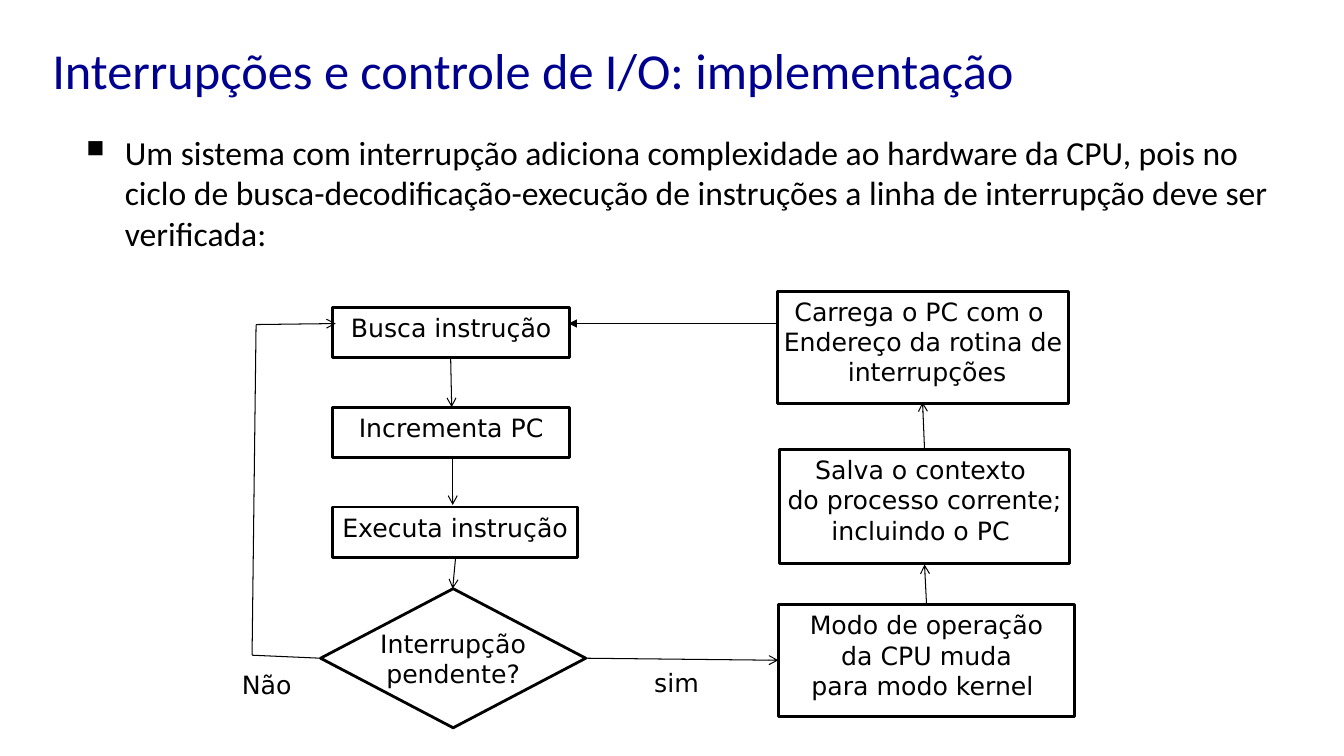
from lxml.etree import SubElement
from pptx import Presentation
from pptx.dml.color import RGBColor
from pptx.enum.shapes import MSO_CONNECTOR, MSO_SHAPE
from pptx.enum.text import MSO_ANCHOR, PP_ALIGN
from pptx.oxml.ns import qn
from pptx.util import Inches, Pt


def hue(code):
    return RGBColor.from_string(code)


def apply(target, values):
    for name, value in values.items():
        setattr(target, name, value)


class Chart:
    """Style and current slide; lengths are cells of a 0.1 inch grid."""
    cell = 0.1
    ink, paper, navy = "000000", "FFFFFF", "000090"
    label = {"size": Pt(18), "name": "DejaVu Sans"}
    head = {"size": Pt(36), "name": "Calibri"}
    body = {"size": Pt(24), "name": "Calibri"}

    def __init__(self, deck):
        self.slide = deck.slides.add_slide(deck.slide_layouts[6])

    def grid(self, *cells):
        return [Inches(n * self.cell) for n in cells]

    def letter(self, shape, text, font, color, align=PP_ALIGN.LEFT, **frame):
        box = shape.text_frame
        apply(box, {"word_wrap": True, "vertical_anchor": MSO_ANCHOR.TOP, **frame})
        box.text = text
        for para in box.paragraphs:
            para.alignment = align
            for run in para.runs:
                apply(run.font, font)
                run.font.color.rgb = hue(color)
        return box

    def text(self, place, text, font, color=ink, **frame):
        shape = self.slide.shapes.add_textbox(*self.grid(*place))
        return self.letter(shape, text, font, color, **frame)

    def bullet(self, place, text):
        para = self.text(place, text, self.body).paragraphs[0]
        props = para._p.get_or_add_pPr()
        indent = Inches(0.38)
        props.set("marL", str(indent))
        props.set("indent", str(-indent))
        SubElement(props, qn("a:buSzPct"), val="73000")
        SubElement(props, qn("a:buChar"), char="■")

    def step(self, place, text, kind=MSO_SHAPE.RECTANGLE):
        shape = self.slide.shapes.add_shape(kind, *self.grid(*place))
        shape.shadow.inherit = False
        shape.fill.solid()
        shape.fill.fore_color.rgb = hue(self.paper)
        shape.line.color.rgb = hue(self.ink)
        shape.line.width = Pt(2)
        self.letter(shape, text, self.label, self.ink, PP_ALIGN.CENTER, word_wrap=False)

    def link(self, start, end, tip=None):
        line = self.slide.shapes.add_connector(
            MSO_CONNECTOR.STRAIGHT, *self.grid(*start, *end))
        line.line.color.rgb = hue(self.ink)
        line.line.width = Pt(0.75)
        props = line._element.spPr
        if tip:
            SubElement(props.find(qn("a:ln")), qn("a:tailEnd"), type=tip)
        SubElement(props, qn("a:effectLst"))


def main():
    deck = Presentation()
    apply(deck, {"slide_width": Inches(13.33), "slide_height": Inches(7.5)})
    chart = Chart(deck)

    # Title and statement
    chart.text((4.2, 4.1, 124.8, 6.3), "Interrupções e controle de I/O: implementação",
               chart.head, chart.navy, vertical_anchor=MSO_ANCHOR.BOTTOM)
    chart.bullet((7.6, 12.6, 121.4, 12.4),
                 "Um sistema com interrupção adiciona complexidade ao hardware da CPU, "
                 "pois no ciclo de busca-decodificação-execução de instruções a linha de "
                 "interrupção deve ser verificada:")

    # Instruction cycle: equal rows, then the decision
    cycle = [("Busca instrução", 23.5), ("Incrementa PC", 23.5),
             ("Executa instrução", 24.3)]
    for row, (text, wide) in enumerate(cycle):
        chart.step((33, 30.5 + 9.9 * row, wide, 5), text)
    chart.step((31.8, 58.4, 26.3, 13.8), "Interrupção\npendente?", MSO_SHAPE.DIAMOND)

    # Interrupt handling, from bottom to top
    handling = [
        ((77.2, 60, 29.4, 11.1), "Modo de operação\nda CPU muda\npara modo kernel "),
        ((77.3, 44.6, 28.8, 11.3), "Salva o contexto \ndo processo corrente;\nincluindo o PC "),
        ((77.1, 28.9, 28.9, 11.1), "Carrega o PC com o \nEndereço da rotina de\n interrupções"),
    ]
    for place, text in handling:
        chart.step(place, text)

    # Arrows between steps
    arrows = [
        ((44.7, 35.5), (44.8, 40.4)),
        ((44.9, 45.2), (44.9, 50.1)),
        ((45.2, 55.2), (44.9, 58.4)),
        ((58.1, 65.3), (77.2, 65.5)),
        ((91.9, 60), (91.7, 56)),
        ((91.7, 44.6), (91.5, 39.9)),
    ]
    for start, end in arrows:
        chart.link(start, end, "arrow")
    chart.link((77.2, 32.1), (56.4, 32.1), "triangle")

    # Return path when nothing is pending
    route = [(31.8, 65.3), (25, 65), (25.4, 32.2), (33.3, 32.1)]
    for start, end, tip in zip(route, route[1:], (None, None, "arrow")):
        chart.link(start, end, tip)

    # Branch labels
    chart.text((23, 65.9, 8.4, 4), "Não", chart.label)
    chart.text((63.9, 65.7, 8.4, 4), "sim", chart.label)

    deck.save("out.pptx")


if __name__ == "__main__":
    main()
